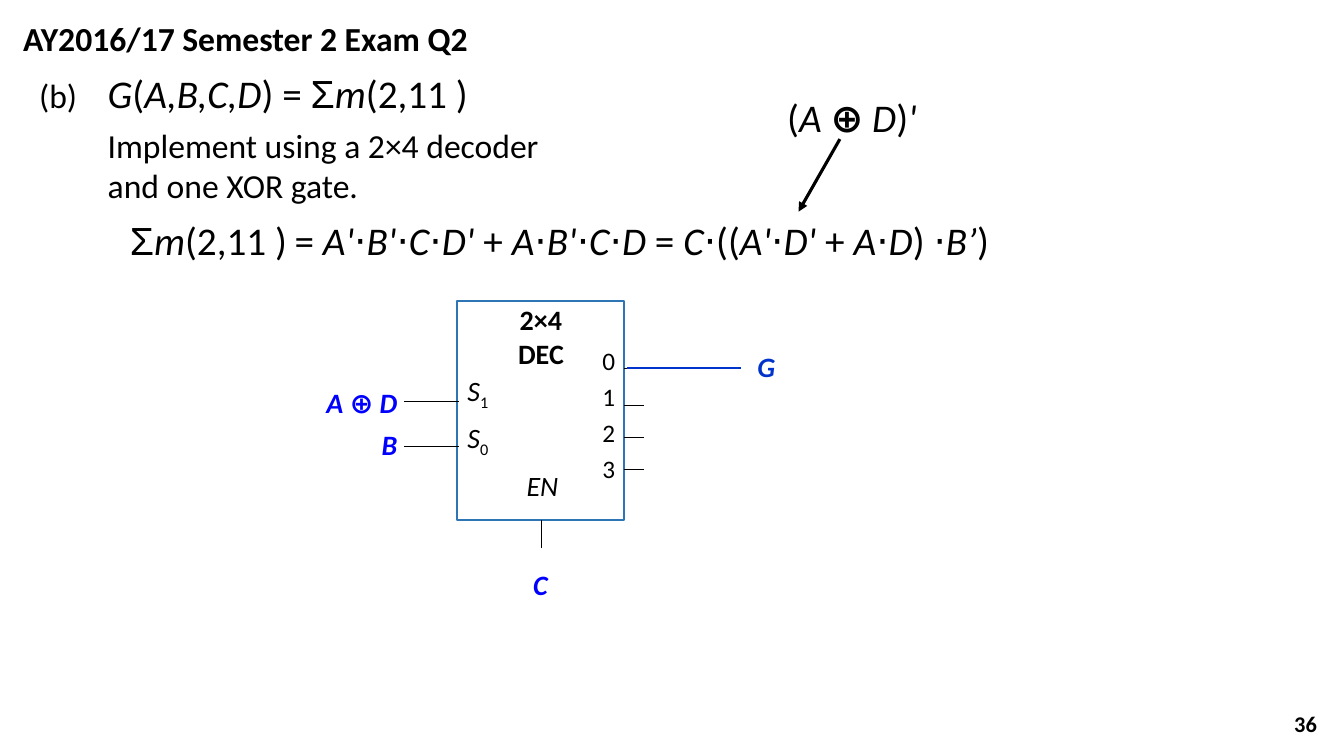
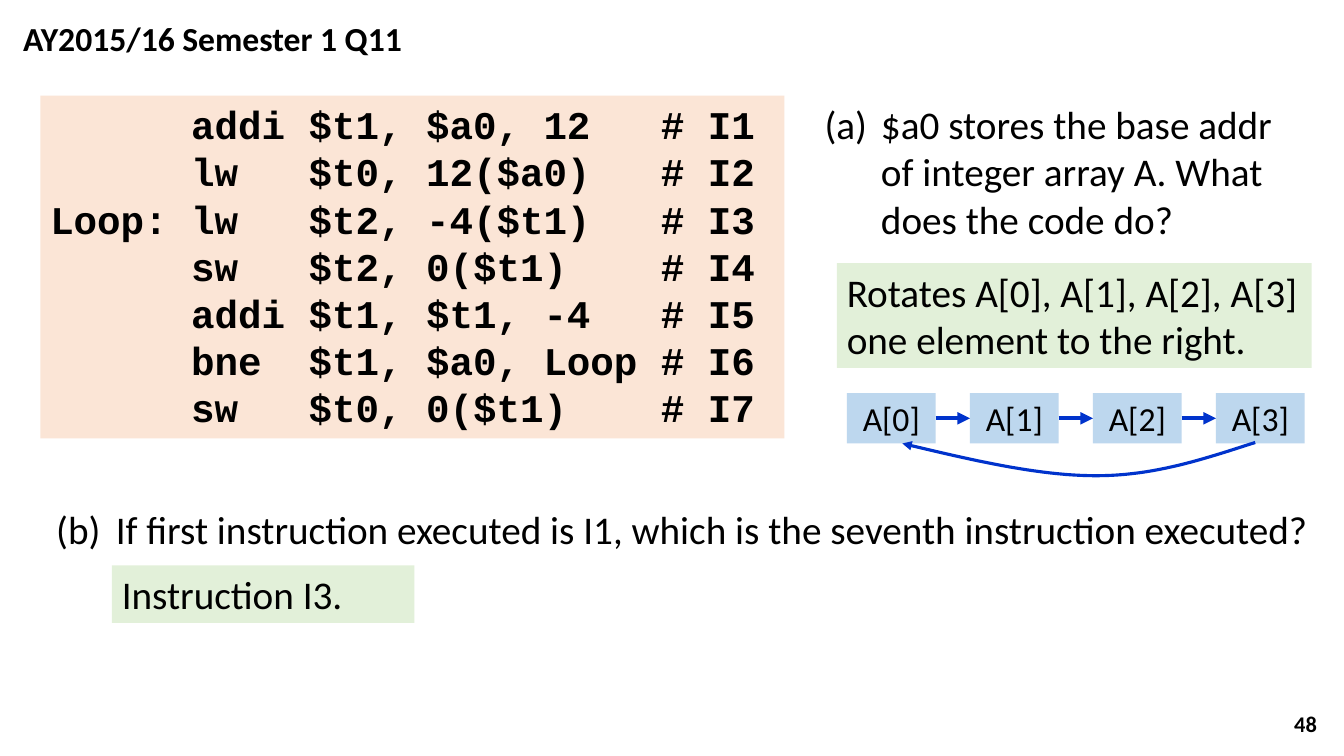
from lxml import etree
from pptx import Presentation
from pptx.dml.color import RGBColor
from pptx.enum.shapes import MSO_CONNECTOR, MSO_SHAPE
from pptx.enum.text import MSO_ANCHOR, MSO_AUTO_SIZE, PP_ALIGN
from pptx.oxml.ns import qn
from pptx.util import Inches, Pt

LEFT, MID, RIGHT = PP_ALIGN.LEFT, PP_ALIGN.CENTER, PP_ALIGN.RIGHT
TOP, CENTRE = MSO_ANCHOR.TOP, MSO_ANCHOR.MIDDLE
FIXED = MSO_AUTO_SIZE.NONE
RECT, LINE = MSO_SHAPE.RECTANGLE, MSO_CONNECTOR.STRAIGHT
TITLE_ONLY = 5

FONT, CODE, SYMBOL = "Calibri", "Courier New", "Arial"
BLACK, WHITE = "000000", "FFFFFF"
BLUE, INK, EDGE = "0000FF", "0033CC", "2E75B6"
PEACH, GREEN, SKY = "FBE5D6", "E2F0D9", "BDD7EE"

# Marks that switch a run format on and off
MARKS = {
    "*": {"italic": True},
    "^": {"bold": True, "italic": False},
    "~": {"name": SYMBOL},
    "`": {"size": Pt(24)},
    "_": {"italic": False, "sub": True},
}


def rgb(code):
    return RGBColor.from_string(code)


def apply(obj, form):
    for key, value in form.items():
        setattr(obj, key, value)


# Text

def split(text):
    """Yield each piece of marked text with the marks that are on."""
    marks, piece = [], ""
    for char in text:
        if char not in MARKS:
            piece += char
            continue
        if piece:
            yield piece, list(marks)
        piece = ""
        if char in marks:
            marks.remove(char)
        else:
            marks.append(char)
    if piece:
        yield piece, marks


def add_runs(para, text, size, color, font, bold):
    for piece, marks in split(text):
        run = para.add_run()
        run.text = piece
        form = {"name": font, "size": Pt(size), "bold": bold, "italic": False}
        for mark in marks:
            form.update(MARKS[mark])
        if form.pop("sub", False):
            run.font._element.set("baseline", "-25000")
        apply(run.font, form)
        run.font.color.rgb = rgb(color)


def hang(para, left, back=0, number=False):
    """Indent a paragraph, with a tab stop at its text edge."""
    props = para._p.get_or_add_pPr()
    props.set("marL", str(Inches(left)))
    props.set("indent", str(-Inches(back)))
    if number:
        etree.SubElement(props, qn("a:buFont"), typeface="+mj-lt")
        etree.SubElement(props, qn("a:buAutoNum"), type="alphaLcParenBoth")
    if back:
        tabs = etree.SubElement(props, qn("a:tabLst"))
        etree.SubElement(tabs, qn("a:tab"), pos=str(Inches(left)), algn="l")


def write(shape, lines, size=28, color=BLACK, font=FONT, bold=False,
          align=LEFT, after=0, inset=None, anchor=TOP):
    frame = shape.text_frame
    apply(frame, {"word_wrap": True, "auto_size": FIXED,
                  "vertical_anchor": anchor})
    if inset is not None:
        sides = ("left", "right", "top", "bottom")
        apply(frame, {f"margin_{side}": Inches(inset) for side in sides})
    for num, text in enumerate(lines):
        para = frame.add_paragraph() if num else frame.paragraphs[0]
        apply(para, {"alignment": align, "space_after": Pt(after)})
        add_runs(para, text, size, color, font, bold)
    return frame.paragraphs


# Shapes

def label(slide, box, lines, **form):
    return write(slide.shapes.add_textbox(*map(Inches, box)), lines, **form)


def panel(slide, box, fill, lines=(), edge=None, **form):
    shape = slide.shapes.add_shape(RECT, *map(Inches, box))
    shape.shadow.inherit = False
    shape.fill.solid()
    shape.fill.fore_color.rgb = rgb(fill)
    if edge:
        shape.line.color.rgb = rgb(edge)
        shape.line.width = Pt(1.5)
    else:
        shape.line.fill.background()
    if lines:
        write(shape, lines, **form)


def stroke(shape, color, width, arrow):
    shape.line.color.rgb = rgb(color)
    shape.line.width = Pt(width)
    if arrow:
        etree.SubElement(shape.line._get_or_add_ln(), qn("a:tailEnd"),
                         type="triangle")


def wire(slide, x1, y1, x2, y2, color=BLACK, width=0.5, arrow=False):
    line = slide.shapes.add_connector(LINE, *map(Inches, (x1, y1, x2, y2)))
    stroke(line, color, width, arrow)
    etree.SubElement(line._element.spPr, qn("a:effectLst"))


def curve(slide, start, bends, color, width, steps=24):
    """Draw joined cubic bends, with an arrowhead at the end."""
    points, here = [start], start
    for one, two, end in bends:
        for step in range(1, steps + 1):
            t = step / steps
            u = 1 - t
            points.append(tuple(
                u**3 * a + 3 * u * u * t * b + 3 * u * t * t * c + t**3 * d
                for a, b, c, d in zip(here, one, two, end)))
        here = end
    # Freeform points are whole numbers, so they are given in EMU
    first, *rest = [(Inches(x), Inches(y)) for x, y in points]
    path = slide.shapes.build_freeform(*first)
    path.add_line_segments(rest, close=False)
    shape = path.convert_to_shape()
    shape.shadow.inherit = False
    shape.fill.background()
    stroke(shape, color, width, True)


# Shared page frame

def page(deck, title, number):
    slide = deck.slides.add_slide(deck.slide_layouts[TITLE_ONLY])
    head = slide.shapes.title
    apply(head, dict(zip(("left", "top", "width", "height"),
                         map(Inches, (0.13, 0.13, 6.98, 0.5)))))
    write(head, [title], size=24, bold=True)
    label(slide, (10.16, 6.98, 3, 0.4), [number], size=16, bold=True,
          align=RIGHT, anchor=CENTRE)
    return slide


# Decoder slide

def task(slide, x, y):
    first, second = label(slide, (x, y, 5.67, 1.46), [
        "`(b)\t`*G*(*A,B,C,D*) = ~Σ~*m*(2,11 )",
        "`Implement using a 2×4 decoder and one XOR gate.`"], after=6)
    hang(first, 0.68, 0.68)
    hang(second, 0.68)


def working(slide, x, y):
    label(slide, (x, y, 10.47, 0.57), [
        "~Σ~*m*(2,11 )` `= *A'*⋅*B'*⋅*C*⋅*D'* + *A*⋅*B'*⋅*C*⋅*D* = "
        "*C*⋅((*A'*⋅*D'* + *A*⋅*D*) ⋅*B’*)"])
    # Note above the bracket
    wire(slide, x + 7.14, y - 0.72, x + 6.73, y, width=2.25, arrow=True)
    label(slide, (x + 6.39, y - 1.22, 1.83, 0.57), ["(*A *^⊕ ^*D*)*' *"],
          align=MID)


def decoder(slide, x, y, wide=1.66, high=2.17):
    edge, foot = x + wide, y + high
    form = {"size": 20, "align": MID}
    name = {**form, "color": BLUE, "bold": True, "after": 6}
    panel(slide, (x, y, wide, high), WHITE, edge=EDGE)

    # Output pins, select pins and enable pin
    for drop in (0.66, 1.03, 1.35, 1.67):
        wire(slide, edge, y + drop, edge + 0.2, y + drop)
    for drop in (0.99, 1.44):
        wire(slide, x - 0.52, y + drop, x + 0.02, y + drop, width=0.75)
    wire(slide, x + 0.84, foot, x + 0.84, foot + 0.28)

    # Labels inside
    label(slide, (x + 1.06, y + 0.43, 0.52, 1.57), "0123", size=18,
          align=RIGHT, after=4, inset=0.01)
    label(slide, (x + 0.36, y, 0.95, 0.79), ["2×4", "DEC"], bold=True,
          inset=0.01, **form)
    label(slide, (x - 0.1, y + 0.71, 0.62, 1.07), ["*S*_1_", "*S*_0_"],
          after=6, inset=0.01, **form)
    label(slide, (x + 0.46, y + 1.61, 0.78, 0.6), ["*EN*"], **form)

    # Signals outside
    label(slide, (x - 1.86, y + 0.79, 1.37, 1.27), ["*A *⊕ *D*", "*B*"],
          **{**name, "align": RIGHT})
    label(slide, (x + 0.44, foot + 0.42, 0.78, 0.44), ["*C*"], **name)
    wire(slide, edge + 0.03, y + 0.66, edge + 1.16, y + 0.66, INK, 1.5)
    label(slide, (edge + 1.02, y + 0.43, 0.78, 0.61), ["*G*"],
          **{**name, "color": INK})


# Code slide

def listing(slide, x, y):
    panel(slide, (x, y, 7.38, 3.4), PEACH, [
        "      addi $t1, $a0, 12   # I1",
        "      lw   $t0, 12($a0)   # I2",
        "Loop: lw   $t2, -4($t1)   # I3",
        "      sw   $t2, 0($t1)    # I4",
        "      addi $t1, $t1, -4   # I5",
        "      bne  $t1, $a0, Loop # I6",
        "      sw   $t0, 0($t1)    # I7"], font=CODE, bold=True)


def part_a(slide, x, y):
    ask, = label(slide, (x, y, 4.84, 1.51), [
        "$a0 stores the base addr of integer array A. "
        "What does the code do?"])
    hang(ask, 0.56, 0.56, number=True)
    panel(slide, (x + 0.22, y + 1.66, 4.71, 1.04), GREEN, [
        "Rotates A[0], A[1], A[2], A[3] one element to the right."])


def cells(slide, x, y, wide=0.88, high=0.5, pitch=1.22, count=4):
    for num in range(count):
        left = x + num * pitch
        panel(slide, (left, y, wide, high), SKY, [f"A[{num}]"], size=24,
              align=MID)
        if num:
            wire(slide, left - pitch + wide, y + high / 2, left, y + high / 2,
                 INK, 3, True)
    # Return path from last cell to first
    foot, low = y + high - 0.01, y + 0.82
    curve(slide, (x + 4.05, foot), [
        ((x + 3.55, foot + 0.16), (x + 3.06, low), (x + 2.47, low)),
        ((x + 1.89, low), (x + 1.22, foot + 0.17), (x + 0.55, foot + 0.01)),
    ], INK, 2.25)


def part_b(slide, x, y):
    ask, = label(slide, (x, y, 12.7, 0.57), [
        "(b)\tIf first instruction executed is I1, "
        "which is the seventh instruction executed?"])
    hang(ask, 0.59, 0.59)
    panel(slide, (x + 0.65, y + 0.65, 3, 0.57), GREEN, ["Instruction I3."])


def main():
    deck = Presentation()
    apply(deck, {"slide_width": Inches(13.33), "slide_height": Inches(7.5)})

    slide = page(deck, "AY2016/17 Semester 2 Exam Q2", "36")
    task(slide, 0.29, 0.64)
    working(slide, 1.19, 2.1)
    decoder(slide, 4.53, 2.99)

    slide = page(deck, "AY2015/16 Semester 1 Q11", "48")
    listing(slide, 0.4, 0.95)
    part_a(slide, 8.08, 0.95)
    cells(slide, 8.4, 3.9)
    part_b(slide, 0.46, 4.96)

    deck.save("out.pptx")


if __name__ == "__main__":
    main()
